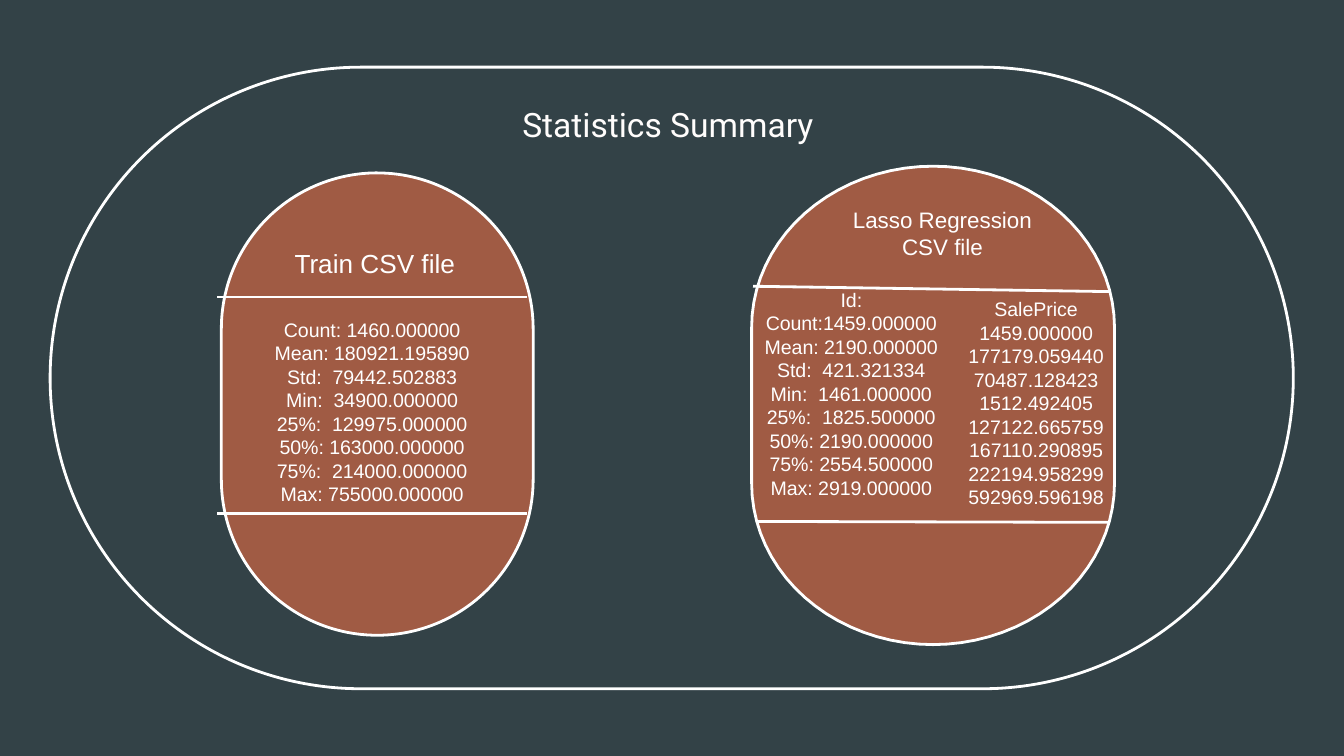
import math
from lxml import etree
from pptx import Presentation
from pptx.dml.color import RGBColor
from pptx.enum import shapes, text
from pptx.oxml.ns import qn
from pptx.util import Inches, Pt

COLORS = {"slate": "334247", "clay": "A05B44", "white": "FFFFFF", "ivory": "FFFDFC"}
RGB = {name: RGBColor.from_string(value) for name, value in COLORS.items()}

deck = Presentation()
deck.slide_width = Inches(10)
deck.slide_height = deck.slide_width * 9 // 16
COL = deck.slide_width / 100
ROW = deck.slide_height / 56.25

slide = deck.slides.add_slide(deck.slide_layouts[5])
slide.background.fill.solid()
slide.background.fill.fore_color.rgb = RGB["slate"]


def grid(left, top, width, height):
    return round(left * COL), round(top * ROW), round(width * COL), round(height * ROW)


def write(frame, lines, size, font_name, color, align, spacing=1.0):
    for key, value in {"word_wrap": True, "vertical_anchor": text.MSO_ANCHOR.TOP,
                       "auto_size": text.MSO_AUTO_SIZE.NONE}.items():
        setattr(frame, key, value)
    frame.text = "\n".join(lines)
    for paragraph in frame.paragraphs:
        paragraph.alignment = align
        paragraph.line_spacing = spacing
        for key, value in {"size": Pt(size), "name": font_name, "bold": False}.items():
            setattr(paragraph.font, key, value)
        paragraph.font.color.rgb = RGB[color]


heading = slide.shapes.title
for key, value in zip(("left", "top", "width", "height"), grid(5.3, 6.55, 88.8, 3)):
    setattr(heading, key, value)
for side in ("left", "top", "right", "bottom"):
    setattr(heading.text_frame, f"margin_{side}", 0)
write(heading.text_frame, ["Statistics Summary"], 18, "Roboto", "ivory", text.PP_ALIGN.CENTER, 1.4)

PILL = shapes.MSO_SHAPE.ROUNDED_RECTANGLE
frame_pill = slide.shapes.add_shape(PILL, *grid(3.73, 5, 92.5, 46.25))
train_pill = slide.shapes.add_shape(PILL, *grid(16.47, 12.87, 23.2, 34.4))
for pill in (frame_pill, train_pill):
    pill.adjustments[0] = 0.5

lasso_x, lasso_radius_x, lasso_radius_y, steps = 69.43, 13.5, 12, 40
lasso_points = []
for start, center_y in ((math.pi, 24.37), (0, 35.97)):
    for step in range(steps + 1):
        angle = start + math.pi * step / steps
        lasso_points.append((round((lasso_x + lasso_radius_x * math.cos(angle)) * COL),
                             round((center_y + lasso_radius_y * math.sin(angle)) * ROW)))
builder = slide.shapes.build_freeform(*lasso_points[0])
builder.add_line_segments(lasso_points[1:], close=True)
lasso_pill = builder.convert_to_shape()

for pill in (frame_pill, train_pill, lasso_pill):
    pill.shadow.inherit = False
    pill.line.color.rgb = RGB["white"]
    pill.line.width = Pt(1.5)
    if pill is frame_pill:
        pill.fill.background()
    else:
        pill.fill.solid()
        pill.fill.fore_color.rgb = RGB["clay"]

for x1, y1, x2, y2 in ((16.17, 22.1, 39.2, 22.1), (16.17, 38.2, 39.2, 38.2),
                       (56.03, 21.3, 82.5, 21.7), (56.3, 38.8, 82.5, 38.87)):
    rule = slide.shapes.add_connector(shapes.MSO_CONNECTOR.STRAIGHT, *grid(x1, y1, x2, y2))
    rule.line.color.rgb = RGB["white"]
    rule.line.width = Pt(1.5)
    etree.SubElement(rule._element.spPr, qn("a:effectLst"))

LEFT, CENTER = text.PP_ALIGN.LEFT, text.PP_ALIGN.CENTER
train_stats = ["Count: 1460.000000", "Mean: 180921.195890", "Std:  79442.502883",
               "Min:  34900.000000", "25%:  129975.000000", "50%: 163000.000000",
               "75%:  214000.000000", "Max: 755000.000000"]
id_stats = ["Id:", "Count:1459.000000", "Mean: 2190.000000", "Std:  421.321334",
            "Min:  1461.000000", "25%:  1825.500000", "50%: 2190.000000",
            "75%: 2554.500000", "Max: 2919.000000"]
price_stats = ["SalePrice", "1459.000000", "177179.059440", "70487.128423", "1512.492405",
               "127122.665759", "167110.290895", "222194.958299", "592969.596198"]

for place, lines, size, align in (
    ((20.93, 17.9, 14.5, 3.4), ["Train CSV file"], 14, LEFT),
    ((16.2, 23.15, 23, 16.9), train_stats, 10.5, CENTER),
    ((61.33, 14.85, 17.6, 5), ["Lasso Regression CSV file"], 12, CENTER),
    ((55.2, 20.93, 16.3, 19.3), id_stats, 10.5, CENTER),
    ((70.8, 21.63, 12.6, 16.9), price_stats, 10.5, CENTER),
):
    label = slide.shapes.add_textbox(*grid(*place))
    write(label.text_frame, lines, size, "Arial", "white", align)

deck.save("out.pptx")
